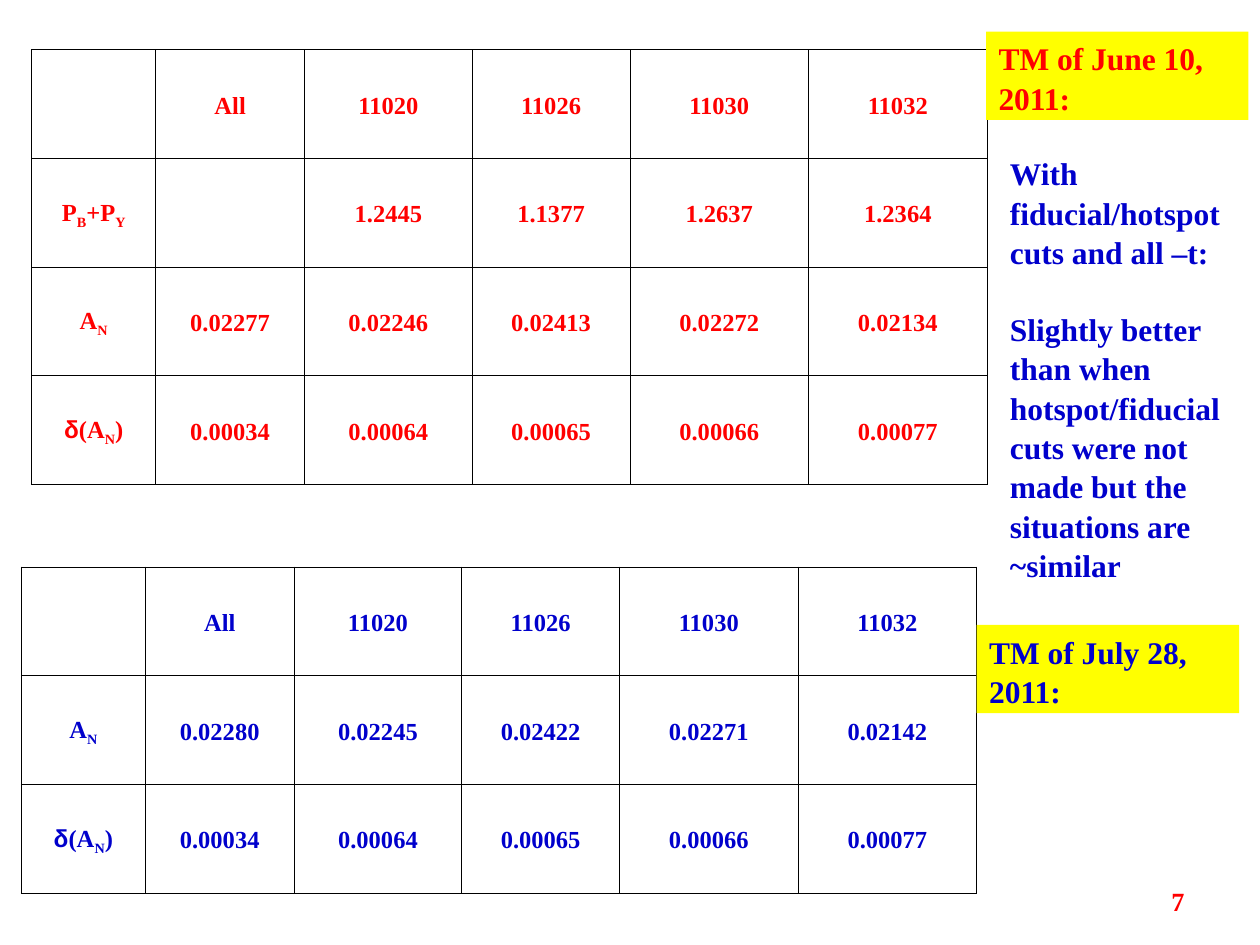
"""Build a slide with two result tables and their meeting notes."""
from lxml import etree
from pptx import Presentation
from pptx.dml.color import RGBColor
from pptx.enum.shapes import MSO_SHAPE
from pptx.enum.text import MSO_ANCHOR, PP_ALIGN
from pptx.oxml.ns import qn
from pptx.util import Cm, Pt

RECT = MSO_SHAPE.RECTANGLE
MIDDLE = MSO_ANCHOR.MIDDLE
LEFT, CENTER, RIGHT = PP_ALIGN.LEFT, PP_ALIGN.CENTER, PP_ALIGN.RIGHT
RED, BLUE, YELLOW, BLACK = "FF0000", "0000CC", "FFFF00", "000000"
SERIF, SANS = "Times New Roman", "Arial"

HEAD = ["", "All", "11020", "11026", "11030", "11032"]
ERRORS = ["δ(A_N)", "0.00034", "0.00064", "0.00065", "0.00066", "0.00077"]
TABLES = [
    (0.43, 11.43, BLUE, [
        HEAD,
        ["A_N", "0.02280", "0.02245", "0.02422", "0.02271", "0.02142"],
        ERRORS,
    ]),
    (0.64, 1.0, RED, [
        HEAD,
        ["P_B+P_Y", "", "1.2445", "1.1377", "1.2637", "1.2364"],
        ["A_N", "0.02277", "0.02246", "0.02413", "0.02272", "0.02134"],
        ERRORS,
    ]),
]
WIDTHS = [2.5, 3.0, 3.38, 3.18, 3.6, 3.6]
ROW = 2.19
LABELS = [
    (19.88, 0.64, RED, "TM of June 10, 2011:"),
    (19.69, 12.6, BLUE, "TM of July 28, 2011:"),
]
NOTES = [
    "With fiducial/hotspot cuts and all –t:",
    "Slightly better than when hotspot/fiducial cuts were not made "
    "but the situations are ~similar",
]


def paint(target, color):
    """Set a solid colour on a fill."""
    target.solid()
    target.fore_color.rgb = RGBColor.from_string(color)


def style(para, size, color, align=LEFT, space=1.04):
    """Format a whole paragraph."""
    para.alignment = align
    para.line_spacing = space
    font = para.font
    font.name, font.size, font.bold = SERIF, Pt(size), True
    font.color.rgb = RGBColor.from_string(color)


def add_run(para, text):
    """Append one run of text."""
    run = para.add_run()
    run.text = text
    return run


def write(para, text):
    """Write text in which an underscore lowers the next letter."""
    if text.startswith("δ"):
        add_run(para, "δ").font.name = SANS
        text = text[1:]
    first, *rest = text.split("_")
    if first:
        add_run(para, first)
    for part in rest:
        sub = add_run(para, part[0])
        sub.font._element.set("baseline", "-25000")
        if part[1:]:
            add_run(para, part[1:])


def frame(cell):
    """Draw thin black borders around a cell."""
    props = cell._tc.get_or_add_tcPr()
    for side in ("lnL", "lnR", "lnT", "lnB"):
        line = etree.SubElement(props, qn("a:" + side), w=str(Pt(0.45)))
        fill = etree.SubElement(line, qn("a:solidFill"))
        etree.SubElement(fill, qn("a:srgbClr"), val=BLACK)


def add_grid(slide, left, top, color, rows):
    """Add one table of results."""
    shape = slide.shapes.add_table(
        len(rows), len(WIDTHS), Cm(left), Cm(top),
        Cm(sum(WIDTHS)), Cm(ROW * len(rows)))
    table = shape.table
    table.first_row = table.horz_banding = False
    for col, width in zip(table.columns, WIDTHS):
        col.width = Cm(width)
    for line, texts in zip(table.rows, rows):
        line.height = Cm(ROW)
        for cell, text in zip(line.cells, texts):
            frame(cell)
            cell.fill.background()
            cell.vertical_anchor = MIDDLE
            cell.margin_left = cell.margin_right = Cm(0.2)
            para = cell.text_frame.paragraphs[0]
            write(para, text)
            style(para, 14, color, CENTER, 1.15)


def add_label(slide, left, top, color, text):
    """Add a yellow meeting label."""
    box = slide.shapes.add_shape(RECT, Cm(left), Cm(top), Cm(5.29), Cm(1.78))
    box.shadow.inherit = False
    paint(box.fill, YELLOW)
    box.line.fill.background()
    body = box.text_frame
    body.word_wrap = True
    body.vertical_anchor = MSO_ANCHOR.TOP
    body.text = text
    style(body.paragraphs[0], 18, color)


def add_text(slide, left, top, width, height, texts):
    """Add a wrapped text box and return its frame."""
    box = slide.shapes.add_textbox(Cm(left), Cm(top), Cm(width), Cm(height))
    body = box.text_frame
    body.word_wrap = True
    body.text = "\n".join(texts)
    return body


def main():
    """Build and save the slide."""
    deck = Presentation()
    deck.slide_width, deck.slide_height = Cm(25.4), Cm(19.05)
    slide = deck.slides.add_slide(deck.slide_layouts[6])
    for grid in TABLES:
        add_grid(slide, *grid)
    for label in LABELS:
        add_label(slide, *label)
    notes = add_text(slide, 20.11, 2.96, 5.29, 8.64, NOTES)
    for para in notes.paragraphs:
        style(para, 18, BLUE)
    notes.paragraphs[1].space_before = Pt(21.6)
    number = add_text(slide, 18.2, 17.65, 5.93, 1.02, ["7"])
    number.vertical_anchor = MIDDLE
    style(number.paragraphs[0], 15, RED, RIGHT)
    deck.save("out.pptx")


if __name__ == "__main__":
    main()
